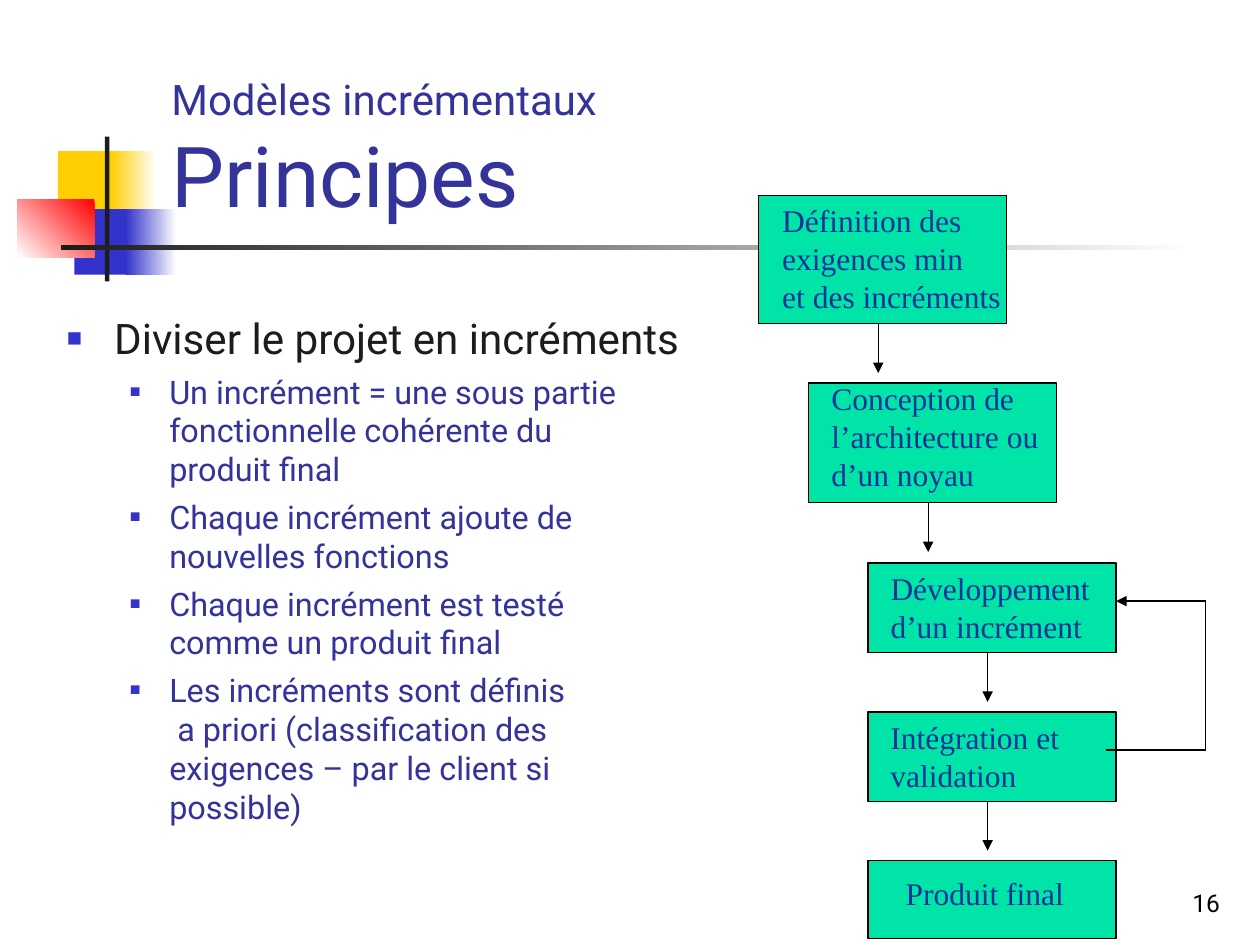
from dataclasses import dataclass
from lxml.etree import SubElement
from pptx import Presentation
from pptx.dml.color import RGBColor
from pptx.enum.shapes import MSO_CONNECTOR as Connector, MSO_SHAPE as Shape
from pptx.enum.text import MSO_ANCHOR as Anchor, MSO_AUTO_SIZE as AutoSize, PP_ALIGN as Align
from pptx.oxml.ns import qn
from pptx.util import Pt


@dataclass(frozen=True)
class Theme:
    heading_font: str = "Roboto"
    step_font: str = "Times New Roman"
    ink: str = "1C1C1C"
    black: str = "000000"
    white: str = "FFFFFF"
    title: str = "333399"
    blue: str = "3333CC"
    yellow: str = "FFCF01"
    red: str = "FF0000"
    step_fill: str = "00E4A8"
    step_text: str = "003399"
    overline_size: float = 24
    title_size: float = 48
    point_size: float = 24.1
    detail_size: float = 18.5
    step_size: float = 18
    number_size: float = 14
    line_width: float = 0.75


THEME = Theme()
ARROW_OFFSET = 68.4
ARROW_LENGTH = 28.2

STEPS = [
    ((433.5, 111.6, 141.8, 73.4), (439.9, 111.6, 143, 72),
     ["Définition des\nexigences min\net des incréments"]),
    ((462, 218.9, 141.8, 68.4), (468, 213.1, 141, 72),
     ["Conception de\nl’architecture ou", "d’un noyau"]),
    ((496, 321.8, 141.8, 51.1), (501.8, 321.8, 132, 50.4),
     ["Développement\nd’un incrément"]),
    ((496, 406.8, 141.8, 51.1), (501.8, 406.8, 119, 50.4),
     ["Intégration et\nvalidation"]),
    ((496, 491.8, 141.8, 44.6), (510.5, 496.1, 108, 28.8),
     ["Produit final"]),
]

DETAILS = [
    "Un incrément = une sous partie\nfonctionnelle cohérente du\nproduit final",
    "Chaque incrément ajoute de\nnouvelles fonctions",
    "Chaque incrément est testé\ncomme un produit final",
    "Les incréments sont définis\n a priori (classification des\n"
    "exigences – par le client si\npossible)",
]


def rgb(color):
    return RGBColor.from_string(color)


def set_all(target, **values):
    for name, value in values.items():
        setattr(target, name, value)


def place(box, area):
    set_all(box, **dict(zip(("left", "top", "width", "height"), map(Pt, area))))


def add_rect(page, area, fill, fade=None, angle=180, outline=None):
    rect = page.shapes.add_shape(Shape.RECTANGLE, *map(Pt, area))
    rect.shadow.inherit = False
    if fade:
        rect.fill.gradient()
        rect.fill.gradient_angle = angle
        for stop, color in zip(rect.fill.gradient_stops, (fill, fade)):
            stop.color.rgb = rgb(color)
    else:
        rect.fill.solid()
        rect.fill.fore_color.rgb = rgb(fill)
    if outline:
        rect.line.color.rgb = rgb(outline)
        rect.line.width = Pt(THEME.line_width)
    else:
        rect.line.fill.background()


def add_line(page, start, end, arrow=False):
    line = page.shapes.add_connector(Connector.STRAIGHT, *map(Pt, (*start, *end)))
    line.line.color.rgb = rgb(THEME.black)
    line.line.width = Pt(THEME.line_width)
    if arrow:
        SubElement(line.line._get_or_add_ln(), qn("a:tailEnd"), type="triangle")
    SubElement(line._element.spPr, qn("a:effectLst"))


def write(para, text, font, size, color):
    for index, words in enumerate(text.split("\n")):
        if index:
            para.add_line_break()
            SubElement(para._p[-1], qn("a:rPr"), sz=str(round(size * 100)))
        if words:
            span = para.add_run()
            span.text = words
            set_all(span.font, name=font, size=Pt(size))
            span.font.color.rgb = rgb(color)


def add_text(page, area, paragraphs, font, size, color, align=Align.LEFT, **frame):
    box = page.shapes.add_textbox(*map(Pt, area))
    set_all(box.text_frame, word_wrap=True, auto_size=AutoSize.NONE, **frame)
    for index, text in enumerate(paragraphs):
        para = box.text_frame.add_paragraph() if index else box.text_frame.paragraphs[0]
        para.alignment = align
        write(para, text, font, size, color)


def add_bullet(para, indent, hanging, percent):
    props = para._p.get_or_add_pPr()
    props.set("marL", str(Pt(indent)))
    props.set("indent", str(-Pt(hanging)))
    color = SubElement(props, qn("a:buClr"))
    SubElement(color, qn("a:srgbClr"), val=THEME.blue)
    SubElement(props, qn("a:buSzPct"), val=str(percent * 1000))
    SubElement(props, qn("a:buChar"), char="■")


def add_ornament(page):
    add_rect(page, (33.1, 86.4, 34.6, 37.4), THEME.yellow)
    add_rect(page, (63.4, 86.4, 25.9, 37.4), THEME.white, THEME.yellow)
    add_rect(page, (42.5, 119.5, 33.1, 37.4), THEME.blue)
    add_rect(page, (72, 119.5, 28.8, 37.4), THEME.white, THEME.blue)
    add_rect(page, (10.1, 113.8, 43.9, 33.1), THEME.red, THEME.white, angle=225)
    add_rect(page, (60, 78, 2.5, 82.8), THEME.ink)
    add_rect(page, (34.6, 140.2, 648, 2.5), THEME.white, THEME.ink)


def fill_title(page):
    title = page.shapes.title
    place(title, (90.7, 16.6, 613.4, 115.2))
    set_all(title.text_frame, vertical_anchor=Anchor.BOTTOM, auto_size=AutoSize.NONE)
    para = title.text_frame.paragraphs[0]
    para.alignment = Align.LEFT
    write(para, "Modèles incrémentaux\n", THEME.heading_font, THEME.overline_size, THEME.title)
    write(para, "Principes", THEME.heading_font, THEME.title_size, THEME.title)


def fill_body(page):
    body = page.placeholders[1]
    place(body, (31, 172.8, 402.5, 324))
    frame = body.text_frame
    set_all(frame, auto_size=AutoSize.NONE, margin_top=Pt(5.7))
    para = frame.paragraphs[0]
    add_bullet(para, 27, 27, 60)
    para.space_before = Pt(0)
    write(para, "Diviser le projet en incréments", THEME.heading_font, THEME.point_size, THEME.ink)
    for detail in DETAILS:
        para = frame.add_paragraph()
        add_bullet(para, 58.5, 22.5, 55)
        set_all(para, level=1, space_before=Pt(5))
        write(para, detail, THEME.heading_font, THEME.detail_size, THEME.title)


def add_flow(page):
    for area, label_area, label in STEPS:
        add_rect(page, area, THEME.step_fill, outline=THEME.black)
        add_text(page, label_area, label, THEME.step_font, THEME.step_size, THEME.step_text)
    for (left, top, _, height), *_ in STEPS[:-1]:
        x, bottom = left + ARROW_OFFSET, top + height
        add_line(page, (x, bottom), (x, bottom + ARROW_LENGTH), arrow=True)
    loop = [(632.2, 428.6), (689, 428.6), (689, 343.5), (637.8, 343.5)]
    for start, end in zip(loop, loop[1:]):
        add_line(page, start, end, arrow=end == loop[-1])


def main():
    deck = Presentation()
    set_all(deck, slide_width=Pt(720), slide_height=Pt(540))
    page = deck.slides.add_slide(deck.slide_layouts[1])
    add_ornament(page)
    add_flow(page)
    fill_title(page)
    fill_body(page)
    add_text(page, (554.4, 491.8, 149.8, 36), ["16"], THEME.heading_font, THEME.number_size,
             THEME.black, Align.RIGHT, vertical_anchor=Anchor.BOTTOM)
    deck.save("out.pptx")


if __name__ == "__main__":
    main()
